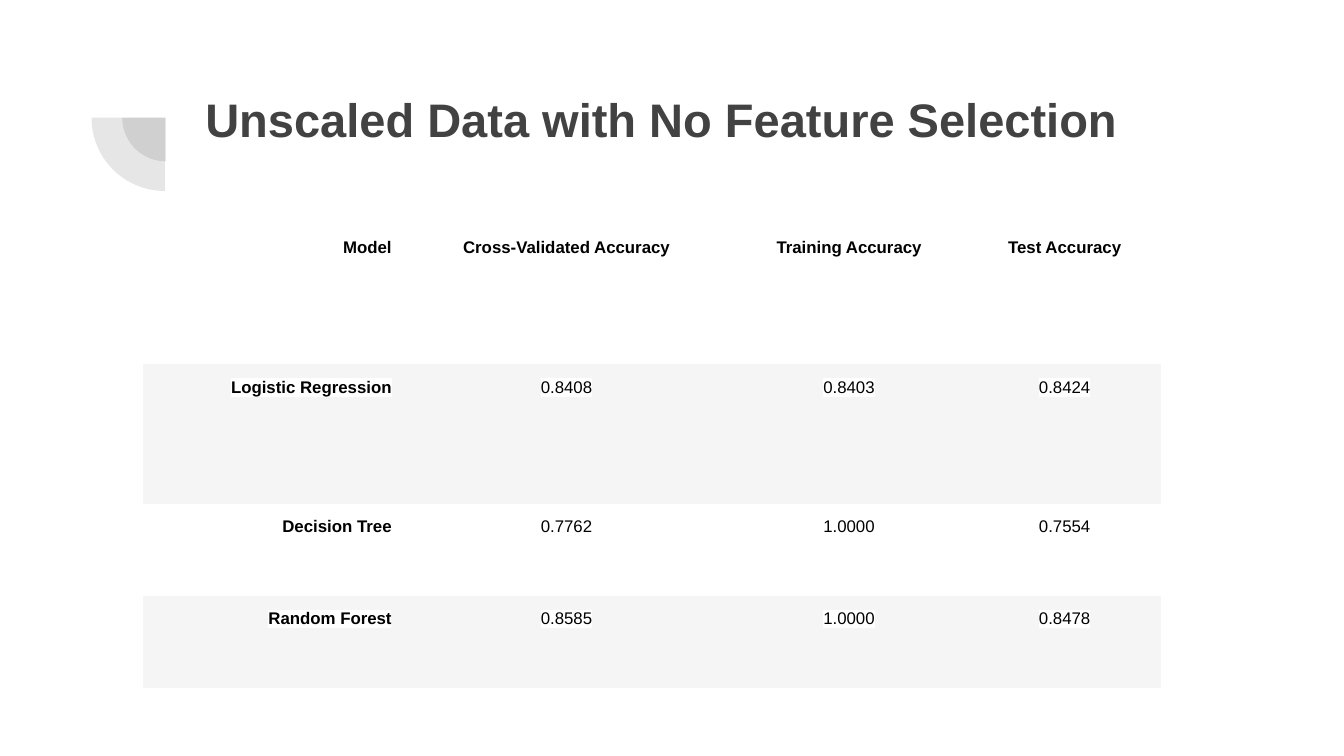
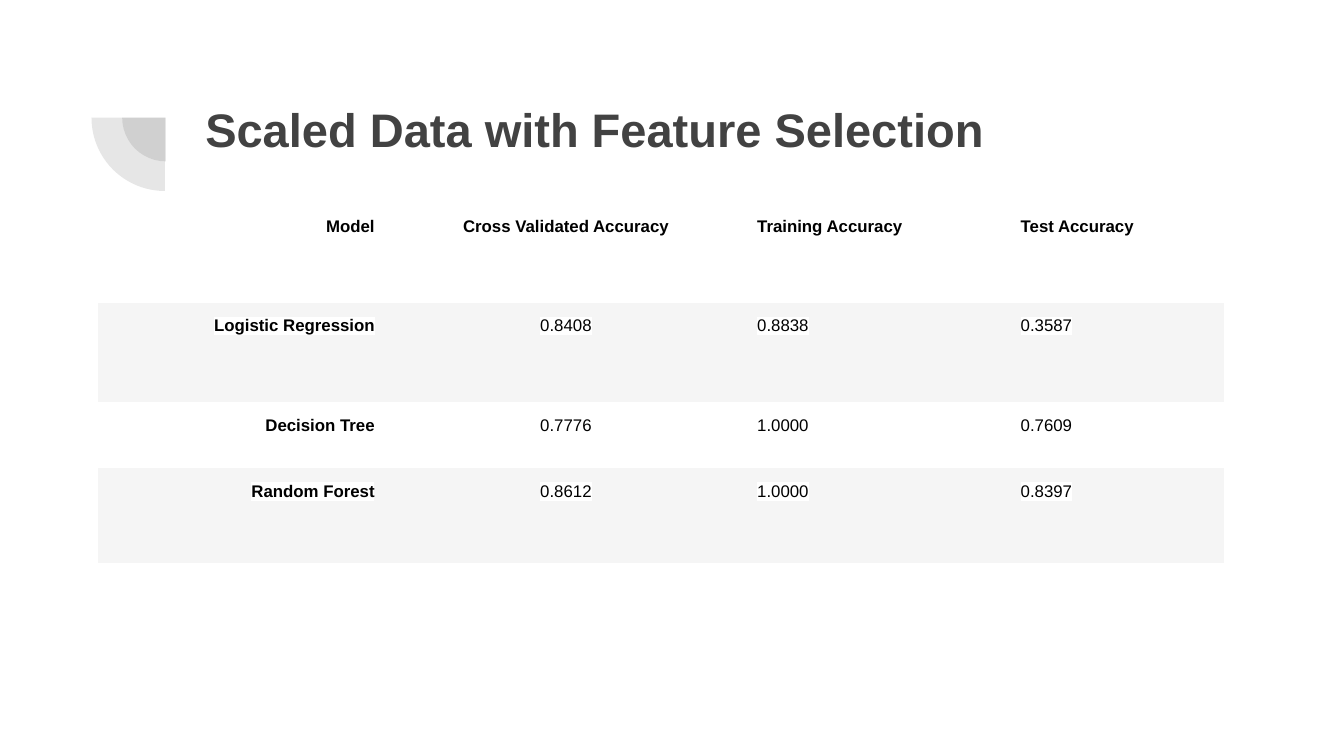
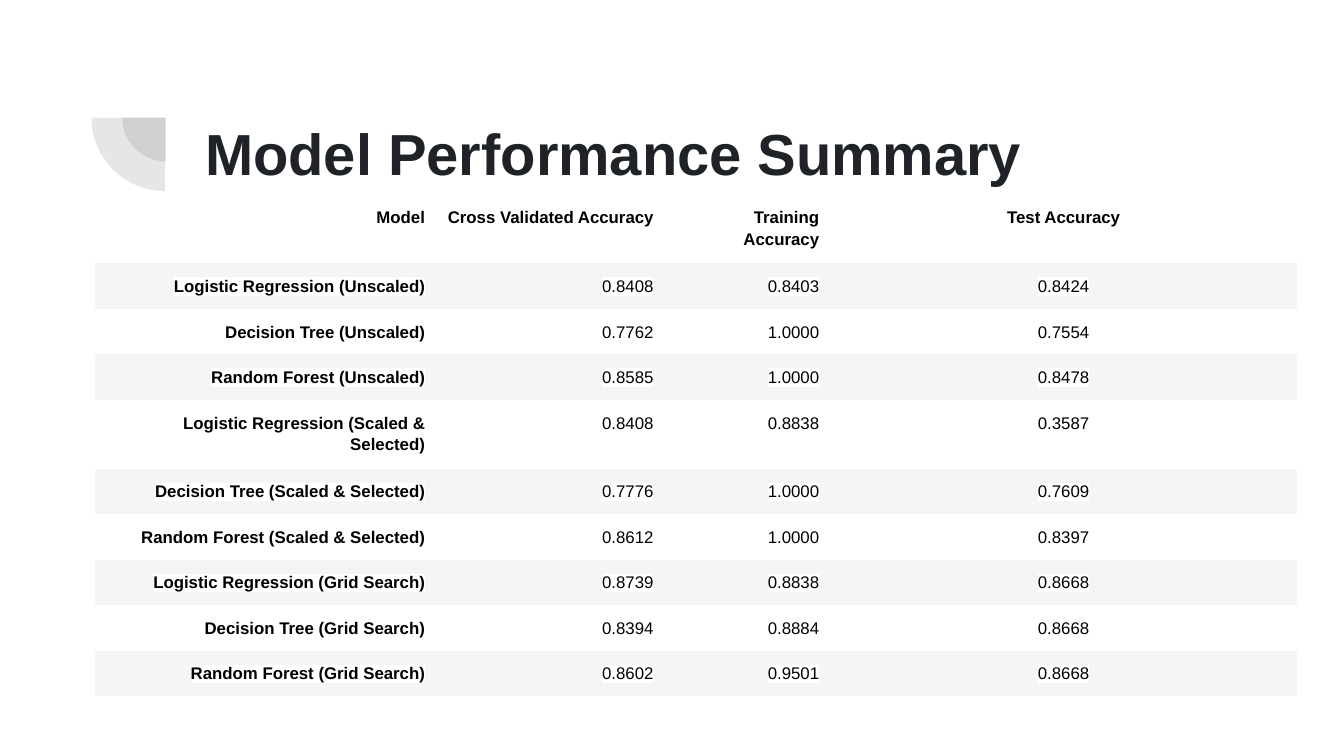
from lxml import etree
from pptx import Presentation
from pptx.dml.color import RGBColor
from pptx.enum import shapes, text
from pptx.oxml import ns
from pptx.util import Cm, Pt

FONT = "Arial"
GREY = RGBColor(0x42, 0x42, 0x42)
INK = RGBColor(0x1F, 0x23, 0x28)
BLACK = RGBColor(0, 0, 0)
WHITE = RGBColor(0xFF, 0xFF, 0xFF)
BAND = RGBColor(0xF5, 0xF5, 0xF5)
NO_STYLE = "{2D5ABB26-0587-4C30-8999-92F81FD0307C}"
ALIGN = {"l": text.PP_ALIGN.LEFT, "c": text.PP_ALIGN.CENTER, "r": text.PP_ALIGN.RIGHT}

MODELS = ["Logistic Regression", "Decision Tree", "Random Forest"]
CROSS = "Cross Validated Accuracy"
SCORES = {
    "Unscaled": [("0.8408", "0.8403", "0.8424"),
                 ("0.7762", "1.0000", "0.7554"),
                 ("0.8585", "1.0000", "0.8478")],
    "Scaled & Selected": [("0.8408", "0.8838", "0.3587"),
                          ("0.7776", "1.0000", "0.7609"),
                          ("0.8612", "1.0000", "0.8397")],
    "Grid Search": [("0.8739", "0.8838", "0.8668"),
                    ("0.8394", "0.8884", "0.8668"),
                    ("0.8602", "0.9501", "0.8668")],
}


def set_attrs(obj, values):
    for name, value in values.items():
        setattr(obj, name, value)


def set_margins(obj, size):
    set_attrs(obj, {"margin_" + side: Cm(size)
                    for side in ("left", "top", "right", "bottom")})


def add_run(p, words, size, color, bold=True, highlight=False):
    r = p.add_run()
    r.text = words
    set_attrs(r.font, {"name": FONT, "size": Pt(size), "bold": bold})
    r.font.color.rgb = color
    if highlight:
        mark = etree.Element(ns.qn("a:highlight"))
        etree.SubElement(mark, ns.qn("a:srgbClr"), val=str(WHITE))
        r.font._element.find(ns.qn("a:solidFill")).addnext(mark)


def add_quarter(s, left, top, size):
    """Draw a translucent quarter disc, the lower left part of a circle."""
    sp = s.shapes.add_shape(shapes.MSO_SHAPE.PIE, Cm(left), Cm(top), Cm(size), Cm(size))
    sp.adjustments[0], sp.adjustments[1] = 108, 162
    sp.rotation = 270
    sp.shadow.inherit = False
    sp.fill.solid()
    sp.fill.fore_color.rgb = GREY
    sp.line.fill.background()
    color = sp.fill._xPr.find(".//" + ns.qn("a:srgbClr"))
    etree.SubElement(color, ns.qn("a:alpha"), val="13000")


def add_title(s, words, top, height=2.77, size=25.2, color=GREY, highlight=False):
    sp = s.shapes.add_textbox(Cm(3.63), Cm(top), Cm(19.53), Cm(height))
    tf = sp.text_frame
    tf.word_wrap = True
    set_margins(tf, 0.25)
    p = tf.paragraphs[0]
    add_run(p, words, size, color, highlight=highlight)
    return p


def add_score_table(s, rows, left, top, widths, heights, aligns):
    """Add a banded table whose header row and first column are bold."""
    frame = s.shapes.add_table(len(rows), len(widths), Cm(left), Cm(top),
                               Cm(sum(widths)), Cm(sum(heights)))
    table = frame.table
    set_attrs(table, {"first_row": False, "horz_banding": False})
    table._tbl.tblPr.find(ns.qn("a:tableStyleId")).text = NO_STYLE
    for column, width in zip(table.columns, widths):
        column.width = Cm(width)
    for i, (row, height) in enumerate(zip(rows, heights)):
        table.rows[i].height = Cm(height)
        for j, words in enumerate(row):
            cell = table.cell(i, j)
            set_margins(cell, 0.21)
            cell.fill.solid()
            cell.fill.fore_color.rgb = BAND if i % 2 else WHITE
            p = cell.text_frame.paragraphs[0]
            set_attrs(p, {"alignment": ALIGN[aligns[j]], "line_spacing": 1.15})
            add_run(p, words, 9, BLACK, bold=i == 0 or j == 0, highlight=True)


def score_rows(group, label="{model}"):
    return [(label.format(model=model, group=group), *scores)
            for model, scores in zip(MODELS, SCORES[group])]


def header(cross=CROSS):
    return ("Model", cross, "Training Accuracy", "Test Accuracy")


def add_slide(prs):
    s = prs.slides.add_slide(prs.slide_layouts[6])
    add_quarter(s, 2.31, 1.4, 1.65)
    add_quarter(s, 1.73, 0.84, 2.77)
    return s


def main():
    prs = Presentation()
    prs.slide_width, prs.slide_height = Cm(25.4), Cm(14.29)

    s = add_slide(prs)
    add_title(s, "Unscaled Data with No Feature Selection", 1.47)
    add_score_table(s, [header("Cross-Validated Accuracy")] + score_rows("Unscaled"),
                    2.71, 4.24, [4.9, 6.19, 4.49, 3.66], [2.64, 2.64, 1.74, 1.74], "rccc")

    s = add_slide(prs)
    add_title(s, "Scaled Data with Feature Selection", 1.65)
    add_score_table(s, [header()] + score_rows("Scaled & Selected"),
                    1.85, 3.84, [5.44, 6.81, 4.98, 4.06], [1.88, 1.88, 1.25, 1.8], "rcll")

    s = add_slide(prs)
    p = add_title(s, "Model Performance Summary", 1.65, height=2.03,
                  size=31, color=INK, highlight=True)
    set_attrs(p, {"line_spacing": 1.25, "space_after": Pt(4)})
    rows = [header()]
    for group in SCORES:
        rows += score_rows(group, "{model} ({group})")
    heights = [1.3 if i in (0, 4) else 0.85 for i in range(len(rows))]
    add_score_table(s, rows, 1.79, 3.68, [6.45, 4.32, 3.13, 8.82], heights, "rrrc")

    prs.save("out.pptx")


if __name__ == "__main__":
    main()
